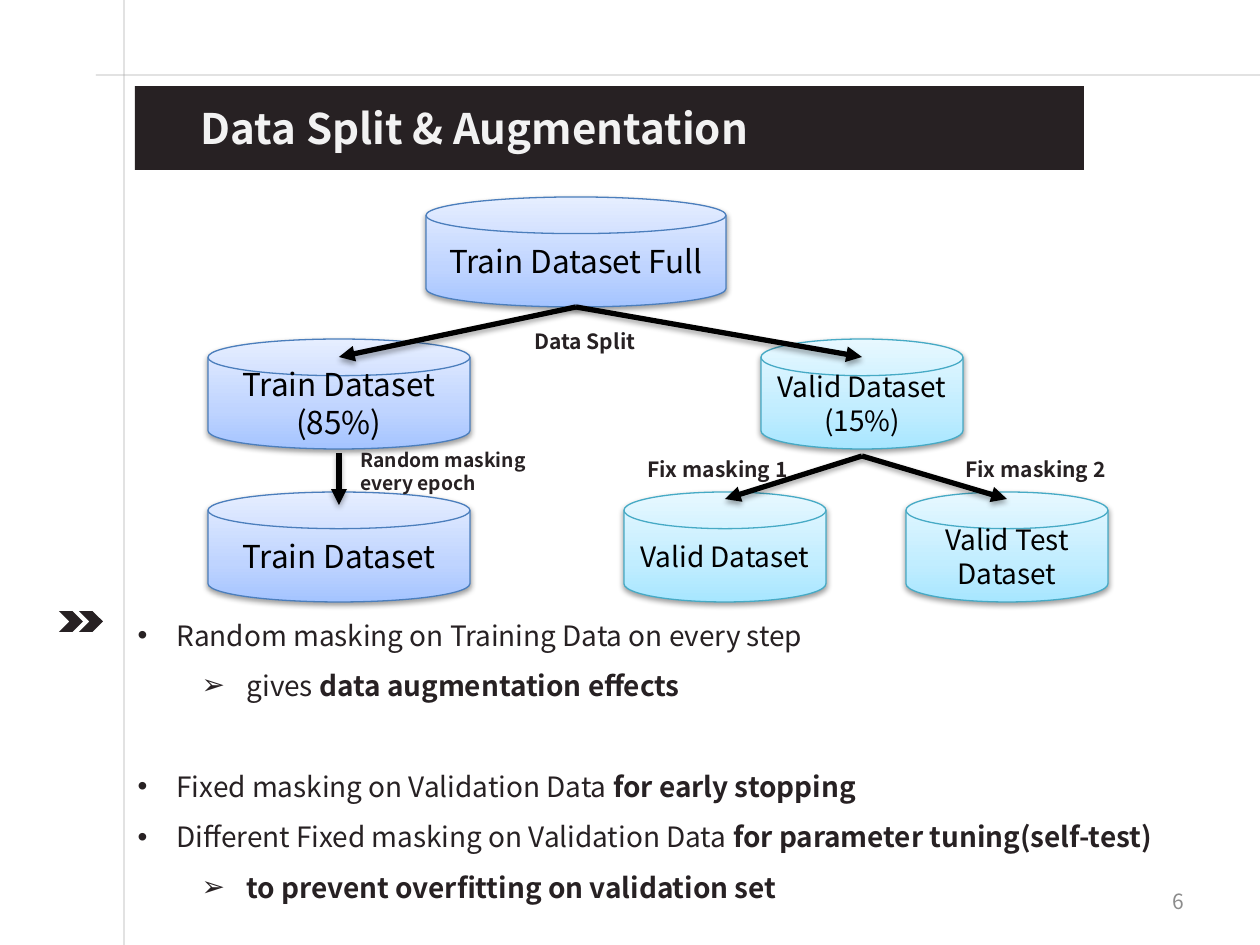
from copy import deepcopy
from lxml.etree import SubElement
from pptx import Presentation
from pptx.dml.color import RGBColor
from pptx.enum.shapes import MSO_CONNECTOR as Link, MSO_SHAPE as Shape
from pptx.enum.text import MSO_ANCHOR as Anchor, MSO_AUTO_SIZE as Fit, PP_ALIGN as Align
from pptx.oxml.ns import qn
from pptx.util import Pt

PX = 914400 / 126
FONT = "Noto Sans CJK KR"
COLORS = {
    "ink": "272123", "title": "F2F2F2", "black": "000000",
    "guide": "A6A6A6", "page": "8C8C8C",
}
DISKS = {
    "train": {"stops": ["A4C4FF", "BFD4FF", "E6EEFF"], "edge": "4B7EBC", "size": 18},
    "valid": {"stops": ["A7E6FF", "C1EDFF", "E7F8FF"], "edge": "46AAC5", "size": 16},
}
POINTS = [
    (0, 0, "Random masking on Training Data on every step", ""),
    (1, 0, "gives ", "data augmentation effects"),
    (0, 29, "Fixed masking on Validation Data ", "for early stopping"),
    (0, 0, "Different Fixed masking on Validation Data ", "for parameter tuning(self-test)"),
    (1, 0, "", "to prevent overfitting on validation set"),
]
BULLETS = [("•", 39, 39), ("➢", 109, 39)]


def emu(*lengths):
    return [round(length * PX) for length in lengths]


def assign(target, values):
    for name, value in values.items():
        setattr(target, name, value)


def set_font(font, size, color, bold=False):
    assign(font, {"name": FONT, "size": Pt(size), "bold": bold})
    font.color.rgb = RGBColor.from_string(COLORS[color])


def place(holder, box):
    assign(holder, dict(zip(("left", "top", "width", "height"), emu(*box))))


def add_shadow(effects, opacity, distance):
    shadow = SubElement(effects, qn("a:outerShdw"), blurRad="40000", dist=str(distance),
                        dir="5400000", rotWithShape="0")
    color = SubElement(shadow, qn("a:srgbClr"), val=COLORS["black"])
    SubElement(color, qn("a:alpha"), val=str(opacity * 1000))


def add_line(slide, start, end, color, width):
    line = slide.shapes.add_connector(Link.STRAIGHT, *emu(*start, *end))
    line.line.color.rgb = RGBColor.from_string(COLORS[color])
    line.line.width = Pt(width)
    return line, SubElement(line._element.spPr, qn("a:effectLst"))


def add_arrow(slide, start, end):
    arrow, effects = add_line(slide, start, end, "black", 3)
    SubElement(arrow.line._get_or_add_ln(), qn("a:tailEnd"), type="triangle")
    add_shadow(effects, 35, 23000)


def add_label(slide, box, text, size, spacing):
    frame = slide.shapes.add_textbox(*emu(*box)).text_frame
    assign(frame, {"text": text, "word_wrap": True, "auto_size": Fit.SHAPE_TO_FIT_TEXT})
    for paragraph in frame.paragraphs:
        paragraph.line_spacing = spacing
        set_font(paragraph.runs[0].font, size, "ink", True)


def add_disk(slide, box, text, kind):
    look = DISKS[kind]
    disk = slide.shapes.add_shape(Shape.FLOWCHART_MAGNETIC_DISK, *emu(*box))
    disk.fill.gradient()
    disk.fill.gradient_angle = 90
    stop_list = disk._element.spPr.find(".//" + qn("a:gsLst"))
    stop_list.append(deepcopy(stop_list[-1]))
    for stop, position, color in zip(disk.fill.gradient_stops, (0, 0.35, 1), look["stops"]):
        stop.position = position
        stop.color.rgb = RGBColor.from_string(color)
    disk.line.color.rgb = RGBColor.from_string(look["edge"])
    disk.line.width = Pt(0.75)
    disk.shadow.inherit = False
    add_shadow(disk._element.spPr.find(qn("a:effectLst")), 38, 20000)
    frame = disk.text_frame
    assign(frame, {"text": text, "word_wrap": True, "vertical_anchor": Anchor.MIDDLE})
    for paragraph in frame.paragraphs:
        paragraph.alignment = Align.CENTER
        set_font(paragraph.runs[0].font, look["size"], "black")


def draw_guides(slide, box):
    left, top, width, height = box
    for start, end in [
        ((left + 124, top), (left + 124, top + height)),
        ((left + 96, top + 75), (left + width, top + 75)),
    ]:
        guide, _ = add_line(slide, start, end, "guide", 0.75)
        color = guide._element.spPr.find(".//" + qn("a:srgbClr"))
        SubElement(color, qn("a:alpha"), val="50000")


def draw_chevrons(slide, box):
    left, top, width, height = box
    for step in (20, 0):
        chevron = slide.shapes.add_shape(Shape.CHEVRON, *emu(left + step, top, width - 20, height))
        chevron.fill.solid()
        chevron.fill.fore_color.rgb = RGBColor.from_string(COLORS["ink"])
        chevron.line.fill.background()
        chevron.shadow.inherit = False


def draw_title(slide, box):
    title = slide.shapes.title
    place(title, box)
    title.fill.solid()
    title.fill.fore_color.rgb = RGBColor.from_string(COLORS["ink"])
    frame = title.text_frame
    assign(frame, {
        "text": "Data Split & Augmentation", "auto_size": Fit.NONE,
        "vertical_anchor": Anchor.MIDDLE, "margin_left": emu(66)[0],
    })
    frame.paragraphs[0].alignment = Align.LEFT
    set_font(frame.paragraphs[0].runs[0].font, 24, "title", True)


def draw_flow(slide, box):
    left, top = box[:2]
    tall, row_2, row_3, lid = 110, 142, 295, 18
    full, train, valid, fixed, test = 368, 131, 654, 517, 799

    def at(x, y):
        return left + x, top + y

    for middle, row, width, text, kind in [
        (full, 0, 300, "Train Dataset Full", "train"),
        (train, row_2, 262, "Train Dataset\n(85%)", "train"),
        (valid, row_2, 202, "Valid Dataset\n(15%)", "valid"),
        (fixed, row_3, 202, "Valid Dataset", "valid"),
        (test, row_3, 202, "Valid Test Dataset", "valid"),
        (train, row_3, 262, "Train Dataset", "train"),
    ]:
        add_disk(slide, (*at(middle - width // 2, row), width, tall), text, kind)

    for source, start_y, target, end_y in [
        (train, row_2 + tall + 4, train, row_3 + lid - 5),
        (valid, row_2 + tall + 7, fixed, row_3 + 7),
        (valid, row_2 + tall + 7, test, row_3 + 7),
        (full, tall, train, row_2 + lid),
        (full, tall, valid, row_2 + lid),
    ]:
        add_arrow(slide, at(source, start_y), at(target, end_y))

    for x, y, width, height, text, size, spacing in [
        (140, 245, 252, 59, "Random masking\nevery epoch", 11, 1),
        (314, 113, 146, 50, "Data Split", 12, 1.5),
        (745, 241, 252, 50, "Fix masking 2", 12, 1.5),
        (427, 241, 252, 50, "Fix masking 1", 12, 1.5),
    ]:
        add_label(slide, (*at(x, y), width, height), text, size, spacing)


def draw_points(slide, box):
    body = slide.placeholders[1]
    place(body, box)
    frame = body.text_frame
    assign(frame, {"auto_size": Fit.NONE, "vertical_anchor": Anchor.TOP})
    for index, (level, gap, plain, strong) in enumerate(POINTS):
        point = frame.add_paragraph() if index else frame.paragraphs[0]
        assign(point, {"level": level, "line_spacing": 1.5,
                       "space_before": Pt(gap), "space_after": Pt(0)})
        mark, margin, hang = BULLETS[level]
        properties = point._p.get_or_add_pPr()
        properties.set("marL", str(emu(margin)[0]))
        properties.set("indent", str(-emu(hang + 6 * level)[0]))
        SubElement(properties, qn("a:buFont"), typeface="Arial")
        SubElement(properties, qn("a:buChar"), char=mark)
        for text, bold in ((plain, False), (strong, True)):
            if text:
                run = point.add_run()
                run.text = text
                set_font(run.font, 16, "ink", bold)


def draw_page_number(slide, box):
    frame = slide.shapes.add_textbox(*emu(*box)).text_frame
    assign(frame, {"text": "6", "word_wrap": True, "vertical_anchor": Anchor.MIDDLE})
    frame.paragraphs[0].alignment = Align.RIGHT
    set_font(frame.paragraphs[0].runs[0].font, 12, "page")


def main():
    deck = Presentation()
    deck.slide_width, deck.slide_height = emu(1260, 945)
    slide = deck.slides.add_slide(deck.slide_layouts[1])
    draw_points(slide, (125, 595, 1135, 317))
    draw_chevrons(slide, (59, 611, 44, 21))
    draw_guides(slide, (0, 0, 1260, 945))
    draw_flow(slide, (208, 197, 900, 405))
    draw_title(slide, (135, 86, 949, 84))
    draw_page_number(slide, (903, 876, 294, 50))
    deck.save("out.pptx")


if __name__ == "__main__":
    main()
